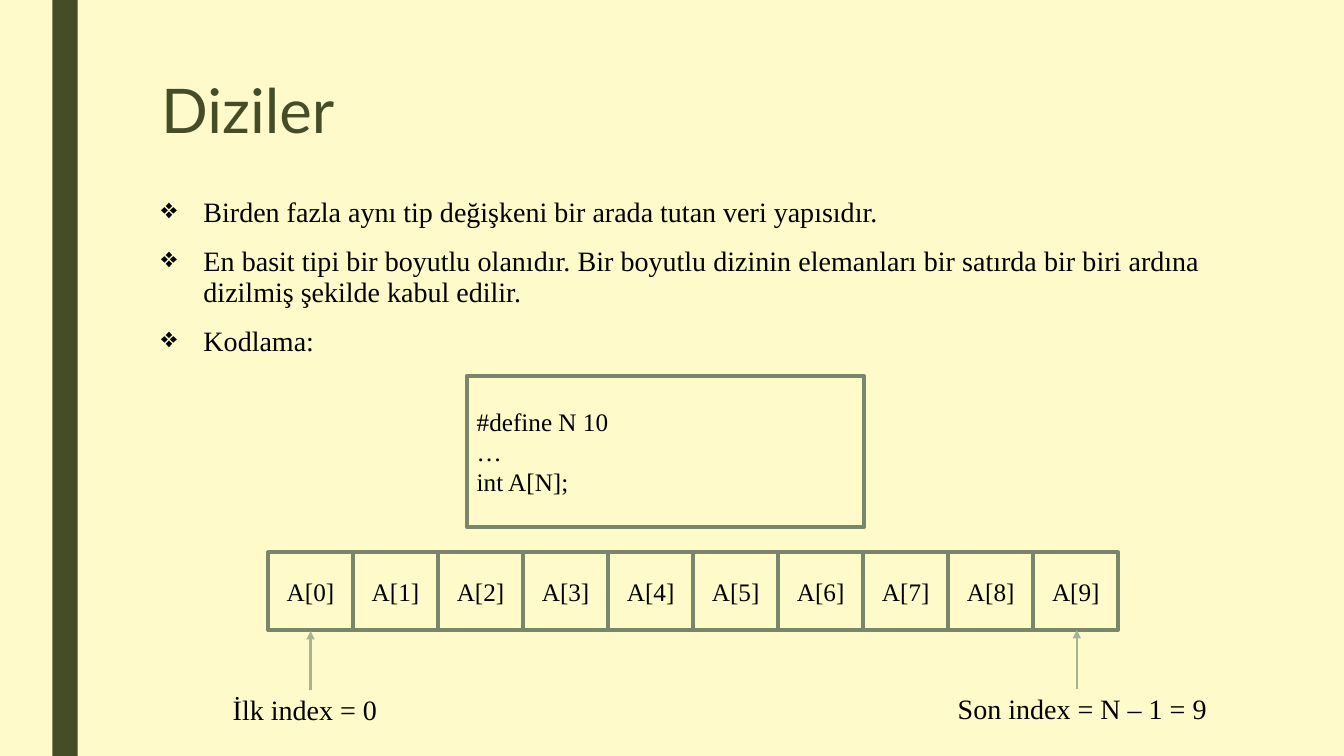
from dataclasses import dataclass

import pptx
import pptx.dml.color
import pptx.enum.shapes
import pptx.enum.text
import pptx.oxml.ns
import pptx.util
from lxml import etree

Inches = pptx.util.Inches
Pt = pptx.util.Pt
Align = pptx.enum.text.PP_ALIGN
Anchor = pptx.enum.text.MSO_ANCHOR
qn = pptx.oxml.ns.qn

GREEN, EDGE, ARROW, BLACK = "444D26", "7A866C", "A5B592", "000000"
SERIF = "Times New Roman"


@dataclass
class Style:
    size: float
    font: str = SERIF
    color: str = BLACK
    align: Align = Align.LEFT
    space: float = 1.0
    before: float = 0
    after: float = 0
    bullet: str = ""


@dataclass
class Box:
    left: float
    top: float
    width: float
    height: float
    lines: list[str]
    style: Style


@dataclass
class Pointer:
    x: float
    start: float
    end: float


TITLE = Style(44, "Lato", GREEN, space=0.89)
BODY = Style(20, align=Align.JUSTIFY, space=0.94, before=10, after=2, bullet="❖")
LABEL = Style(20, align=Align.JUSTIFY, space=0.94, after=2)
CODE = Style(18)
CELL = Style(18, align=Align.CENTER)


def rgb(color: str) -> pptx.dml.color.RGBColor:
    return pptx.dml.color.RGBColor.from_string(color)


def write(frame, lines: list[str], style: Style) -> None:
    frame.word_wrap = True
    for i, line in enumerate(lines):
        para = frame.paragraphs[0] if i == 0 else frame.add_paragraph()
        para.text = line
        para.alignment = style.align
        para.line_spacing = style.space
        para.space_before = Pt(style.before if i else 0)
        para.space_after = Pt(style.after)
        if style.bullet:
            props = para._p.get_or_add_pPr()
            props.set("marL", str(Inches(0.42)))
            props.set("indent", str(-Inches(0.42)))
            mark = etree.SubElement(props, qn("a:buChar"))
            mark.set("char", style.bullet)
        para.font.size = Pt(style.size)
        para.font.name = style.font
        para.font.color.rgb = rgb(style.color)


def place(box: Box) -> tuple:
    return tuple(Inches(v) for v in (box.left, box.top, box.width, box.height))


def add_text(slide, box: Box) -> None:
    frame = slide.shapes.add_textbox(*place(box)).text_frame
    write(frame, box.lines, box.style)


def add_frame(slide, box: Box) -> None:
    rect = pptx.enum.shapes.MSO_SHAPE.RECTANGLE
    shape = slide.shapes.add_shape(rect, *place(box))
    shape.shadow.inherit = False
    shape.fill.background()
    shape.line.color.rgb = rgb(EDGE)
    shape.line.width = Pt(2.75)
    shape.text_frame.vertical_anchor = Anchor.MIDDLE
    write(shape.text_frame, box.lines, box.style)


def add_arrow(slide, arrow: Pointer) -> None:
    kind = pptx.enum.shapes.MSO_CONNECTOR.STRAIGHT
    x = Inches(arrow.x)
    line = slide.shapes.add_connector(kind, x, Inches(arrow.start), x, Inches(arrow.end))
    line.line.color.rgb = rgb(ARROW)
    line.line.width = Pt(1.5)
    tail = etree.SubElement(line.line._get_or_add_ln(), qn("a:tailEnd"))
    tail.set("type", "triangle")
    etree.SubElement(line._element.spPr, qn("a:effectLst"))


def main() -> None:
    deck = pptx.Presentation()
    deck.slide_width, deck.slide_height = Inches(13.33), Inches(7.5)
    slide = deck.slides.add_slide(deck.slide_layouts[6])

    # Background and side band
    slide.background.fill.solid()
    slide.background.fill.fore_color.rgb = rgb("FEFAC9")
    rect = pptx.enum.shapes.MSO_SHAPE.RECTANGLE
    band = slide.shapes.add_shape(rect, Inches(0.52), 0, Inches(0.25), Inches(7.5))
    band.shadow.inherit = False
    band.fill.solid()
    band.fill.fore_color.rgb = rgb(GREEN)
    band.line.fill.background()

    # Title and bullets
    add_text(slide, Box(1.5, 0.75, 10.5, 1.62, ["Diziler"], TITLE))
    add_text(slide, Box(1.5, 1.91, 10.5, 1.81, [
        "Birden fazla aynı tip değişkeni bir arada tutan veri yapısıdır.",
        "En basit tipi bir boyutlu olanıdır. Bir boyutlu dizinin elemanları "
        "bir satırda bir biri ardına dizilmiş şekilde kabul edilir.",
        "Kodlama:",
    ], BODY))

    # Code frame
    code = ["#define N 10", "…", "int A[N];"]
    add_frame(slide, Box(4.63, 3.73, 3.94, 1.5, code, CODE))

    # Array cells, evenly spaced from first to last
    count, first, last = 10, 2.66, 10.25
    step = (last - first) / (count - 1)
    for i in range(count):
        add_frame(slide, Box(first + i * step, 5.48, 0.84, 0.77, [f"A[{i}]"], CELL))

    # Index labels and arrows
    add_text(slide, Box(2.21, 6.85, 1.73, 0.55, ["İlk index = 0"], LABEL))
    add_text(slide, Box(9.4, 6.84, 2.89, 0.55, ["Son index = N – 1 = 9"], LABEL))
    for arrow in (Pointer(3.08, 6.85, 6.26), Pointer(10.68, 6.84, 6.25)):
        add_arrow(slide, arrow)

    deck.save("out.pptx")


if __name__ == "__main__":
    main()
